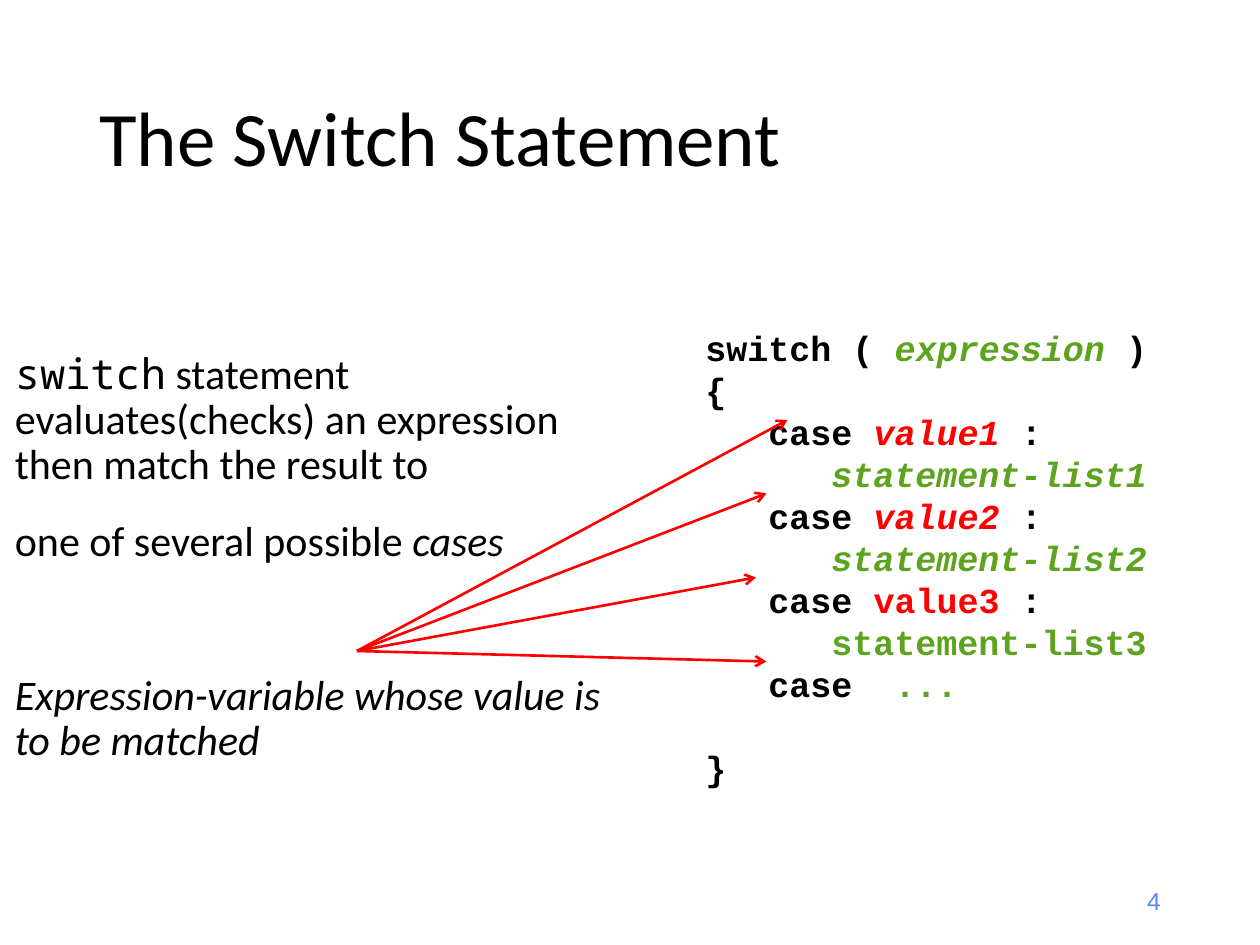
from dataclasses import dataclass

from lxml import etree
from pptx import Presentation
from pptx.dml.color import RGBColor
from pptx.enum.shapes import MSO_CONNECTOR
from pptx.enum.text import MSO_ANCHOR, PP_ALIGN
from pptx.oxml.ns import qn
from pptx.util import Pt

STRAIGHT = MSO_CONNECTOR.STRAIGHT
TOP, MIDDLE = MSO_ANCHOR.TOP, MSO_ANCHOR.MIDDLE
LEFT, RIGHT = PP_ALIGN.LEFT, PP_ALIGN.RIGHT


@dataclass(frozen=True)
class Theme:
    black: str = "000000"
    green: str = "5DA31E"
    red: str = "FF0000"
    blue: str = "5B87F2"
    sans: str = "Calibri"
    mono: str = "Noto Sans Mono"
    code: str = "Courier New"
    number: str = "Arial"
    title_size: int = 44
    body_size: int = 24
    code_size: int = 20
    number_size: int = 14
    arrow_width: float = 1.5


class SlideBuilder:
    def __init__(self, slide, theme):
        self.slide = slide
        self.theme = theme

    def text_area(self, left, top, width, height, anchor=TOP):
        frame = self.slide.shapes.add_textbox(
            Pt(left), Pt(top), Pt(width), Pt(height)).text_frame
        frame.word_wrap = True
        frame.vertical_anchor = anchor
        return frame

    def paragraph(self, frame, parts, size, font, spacing, before=0, indent=0,
                  align=LEFT):
        first = frame.paragraphs[0]
        paragraph = frame.add_paragraph() if first.runs else first
        paragraph.alignment = align
        paragraph.line_spacing = spacing
        paragraph.space_before = Pt(before)
        if indent:
            paragraph._p.get_or_add_pPr().set("marL", str(Pt(indent)))
        for words, style in parts:
            run = paragraph.add_run()
            run.text = words
            run.font.size = Pt(size)
            run.font.name = style.get("font", font)
            run.font.bold = style.get("bold", False)
            run.font.italic = style.get("italic", False)
            run.font.color.rgb = RGBColor.from_string(
                style.get("color", self.theme.black))

    def arrow(self, start, end):
        line = self.slide.shapes.add_connector(
            STRAIGHT, *(Pt(value) for value in (*start, *end)))
        line.line.color.rgb = RGBColor.from_string(self.theme.red)
        line.line.width = Pt(self.theme.arrow_width)
        etree.SubElement(line.line._get_or_add_ln(), qn("a:tailEnd"), type="arrow")
        etree.SubElement(line._element.spPr, qn("a:effectLst"))


def main():
    theme = Theme()
    deck = Presentation()
    deck.slide_width, deck.slide_height = Pt(720), Pt(540)
    builder = SlideBuilder(deck.slides.add_slide(deck.slide_layouts[6]), theme)

    title = builder.text_area(49.7, 28.8, 620.6, 104.4, MIDDLE)
    builder.paragraph(title, [("The Switch Statement", {})],
                      theme.title_size, theme.sans, 0.9)

    explanation = builder.text_area(1.4, 198, 358.6, 342)
    body_paragraphs = [
        (0, [("switch", {"font": theme.mono}),
             (" statement evaluates(checks) an expression then match the result to", {})]),
        (18, [("one of several possible ", {}), ("cases", {"italic": True})]),
        (62, [("Expression-variable whose value is to be matched", {"italic": True})]),
    ]
    for before, parts in body_paragraphs:
        builder.paragraph(explanation, parts, theme.body_size, theme.sans, 0.9, before)

    page_number = builder.text_area(508.3, 500.4, 162, 28.8, MIDDLE)
    builder.paragraph(page_number, [("4", {"color": theme.blue})],
                      theme.number_size, theme.number, 1, align=RIGHT)

    plain = {"bold": True}
    statement = {"bold": True, "color": theme.green}
    value = {"bold": True, "color": theme.red}
    slanted = {"italic": True}
    code_lines = [
        (0, 0, [("switch ( ", plain), ("expression", statement | slanted), (" )", plain)]),
        (0, 0, [("{", plain)]),
    ]
    for number, slant in ((1, slanted), (2, slanted), (3, {})):
        code_lines += [
            (36, 0, [("case ", plain), (f"value{number}", value | slant), (" :", plain)]),
            (72, 0, [(f"statement-list{number}", statement | slant)]),
        ]
    code_lines += [
        (36, 0, [("case  ", plain), ("...", statement)]),
        (0, 24, [("}", plain)]),
    ]
    syntax = builder.text_area(396, 195, 278.6, 247, MIDDLE)
    for indent, before, parts in code_lines:
        builder.paragraph(syntax, parts, theme.code_size, theme.code, Pt(24),
                          before, indent)

    for case_point in ((450, 240), (438, 282), (432, 330), (438, 378)):
        builder.arrow((204, 372), case_point)

    deck.save("out.pptx")


if __name__ == "__main__":
    main()
